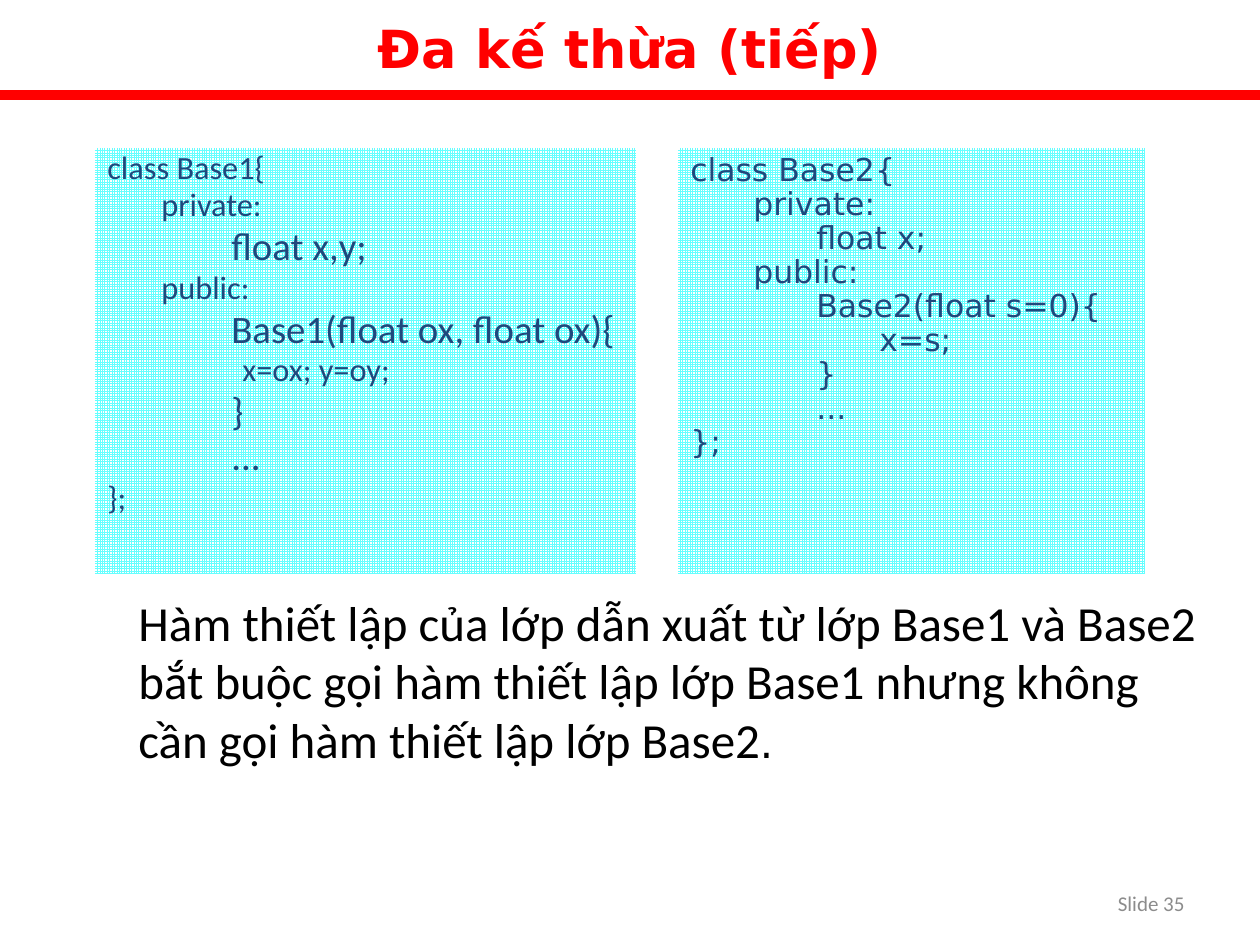
"""Build the slide on multiple inheritance with two code panels."""
import pptx
import pptx.dml.color
import pptx.enum.dml
import pptx.enum.shapes
import pptx.enum.text
import pptx.oxml.ns
import pptx.util
import lxml.etree

PIXEL = 914400 // 126
ALIGN = pptx.enum.text.PP_ALIGN
ANCHOR = pptx.enum.text.MSO_ANCHOR


def color(value):
    return pptx.dml.color.RGBColor.from_string(value)


def add_text(frame, runs, size=18, font="Calibri", fill="000000", bold=False,
             align=ALIGN.LEFT, before=0, after=0, spacing=1.0, margin=0, indent=0):
    first = len(frame.paragraphs) == 1 and not frame.paragraphs[0].runs
    paragraph = frame.paragraphs[0] if first else frame.add_paragraph()
    paragraph.alignment = align
    paragraph.line_spacing = spacing
    paragraph.space_before = pptx.util.Pt(before)
    paragraph.space_after = pptx.util.Pt(after)
    properties = paragraph._p.get_or_add_pPr()
    properties.set("marL", str(margin * PIXEL))
    properties.set("indent", str(indent * PIXEL))
    for text, changes in runs:
        run = paragraph.add_run()
        run.text = text
        run.font.size = pptx.util.Pt(changes.get("size", size))
        run.font.name = changes.get("font", font)
        run.font.bold = bold
        run.font.color.rgb = color(fill)


presentation = pptx.Presentation()
presentation.slide_width = 1260 * PIXEL
presentation.slide_height = 945 * PIXEL
slide = presentation.slides.add_slide(presentation.slide_layouts[6])

text_boxes = [
    ((935, 872, 262, 63), ANCHOR.MIDDLE, [("Slide 35", {})],
     dict(size=12, fill="8C8C8C", align=ALIGN.RIGHT)),
    ((0, 10, 1260, 89), ANCHOR.TOP, [("Đa kế thừa (tiếp)", {})],
     dict(size=30, font="DejaVu Sans", fill="FF0000", bold=True,
          align=ALIGN.CENTER, before=6, after=6)),
    ((79, 586, 1131, 242), ANCHOR.TOP,
     [("Hàm thiết lập của lớp dẫn xuất từ lớp Base1 và Base2 bắt buộc gọi hàm "
       "thiết lập lớp Base1 nhưng không cần gọi hàm thiết lập lớp Base2", {}),
      (".", {"size": 24, "font": "DejaVu Sans"})],
     dict(size=28, margin=47)),
]
for box, anchor, runs, style in text_boxes:
    shape = slide.shapes.add_textbox(*(length * PIXEL for length in box))
    shape.text_frame.word_wrap = True
    shape.text_frame.vertical_anchor = anchor
    add_text(shape.text_frame, runs, **style)

rule = slide.shapes.add_connector(
    pptx.enum.shapes.MSO_CONNECTOR.STRAIGHT, 0, 95 * PIXEL, 1260 * PIXEL, 95 * PIXEL)
rule.line.color.rgb = color("FF0000")
rule.line.width = pptx.util.Pt(6)
lxml.etree.SubElement(rule._element.spPr, pptx.oxml.ns.qn("a:effectLst"))

code_panels = [
    {"box": (95, 148, 541, 426), "font": "Calibri", "spacing": 0.8, "before": 0.2,
     "sizes": [18.5, 18.5, 22.2, 18.5],
     "indents": [(38, -38), (88, -34), (158, -34), (164, -29)],
     "lines": [(0, "class Base1{"), (1, "private:"), (2, "float x,y;"), (1, "public:"),
               (2, "Base1(float ox, float ox){"), (3, "x=ox; y=oy;"),
               (2, "}"), (2, "..."), (0, "};")]},
    {"box": (678, 148, 467, 426), "font": "DejaVu Sans", "spacing": 0.9, "before": 0,
     "sizes": [18] * 4,
     "indents": [(47, -47), (102, -39), (158, -32), (221, -32)],
     "lines": [(0, "class Base2{"), (1, "private:"), (2, "float x;"), (1, "public:"),
               (2, "Base2(float s=0){"), (3, "x=s;"),
               (2, "}"), (2, "..."), (0, "};")]},
]
for panel in code_panels:
    shape = slide.shapes.add_shape(
        pptx.enum.shapes.MSO_SHAPE.RECTANGLE, *(length * PIXEL for length in panel["box"]))
    shape.shadow.inherit = False
    shape.line.fill.background()
    shape.fill.patterned()
    shape.fill.pattern = pptx.enum.dml.MSO_PATTERN.SMALL_GRID
    shape.fill.fore_color.rgb = color("66FFFF")
    shape.fill.back_color.rgb = color("FFFFFF")
    shape.text_frame.word_wrap = True
    shape.text_frame.vertical_anchor = ANCHOR.TOP
    for level, text in panel["lines"]:
        size = panel["sizes"][level]
        margin, indent = panel["indents"][level]
        add_text(shape.text_frame, [(text, {})], size=size, font=panel["font"],
                 fill="1F497D", before=round(size * panel["before"], 1),
                 spacing=panel["spacing"], margin=margin, indent=indent)
        shape.text_frame.paragraphs[-1].level = level

presentation.save("out.pptx")
